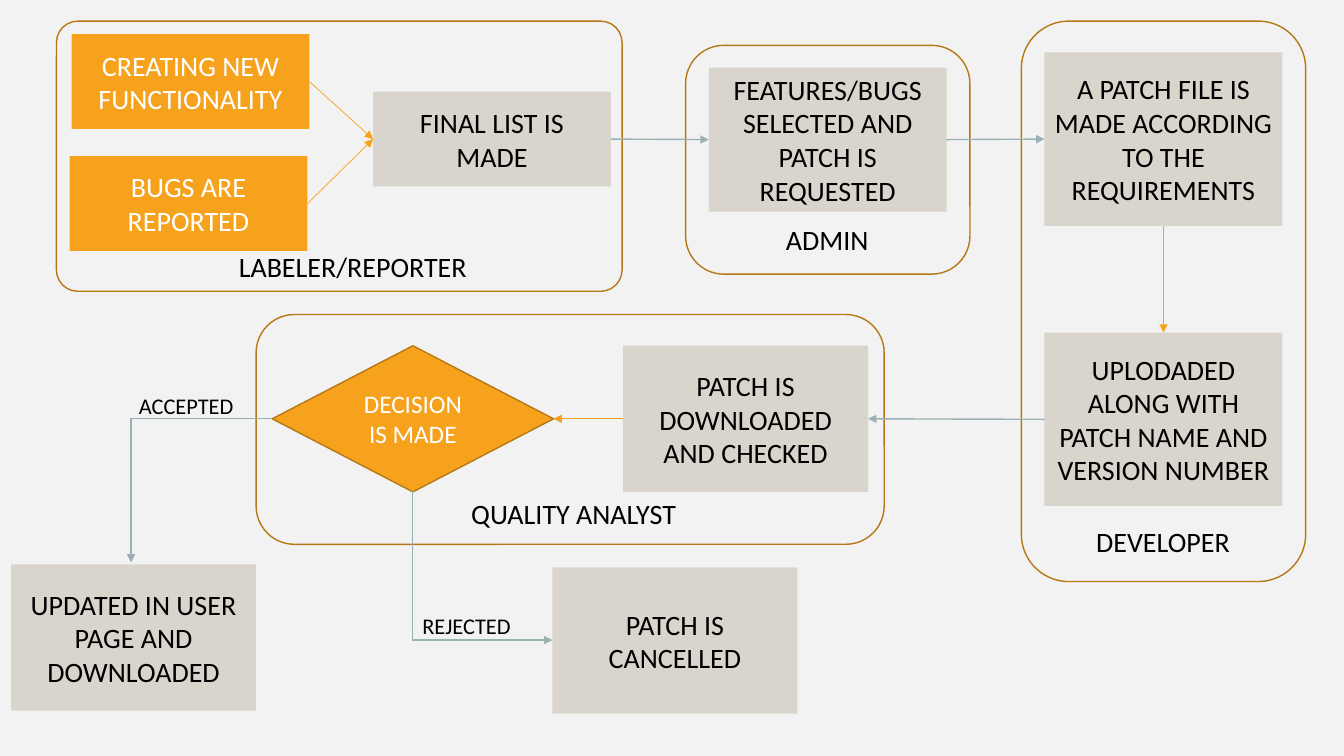
import pptx
import pptx.util
import pptx.dml.color
import pptx.enum.shapes
import pptx.enum.text
import pptx.oxml
import pptx.oxml.ns

Inches = pptx.util.Inches
Pt = pptx.util.Pt
RGBColor = pptx.dml.color.RGBColor
Preset = pptx.enum.shapes.MSO_SHAPE
Align = pptx.enum.text.PP_ALIGN
Anchor = pptx.enum.text.MSO_ANCHOR

PAPER = RGBColor(0xF2, 0xF2, 0xF2)
ORANGE = RGBColor(0xF6, 0xA2, 0x1D)
BROWN = RGBColor(0xB6, 0x78, 0x15)
STONE = RGBColor(0xDA, 0xD5, 0xCC)
STEEL = RGBColor(0x9B, 0xAF, 0xB5)
BLACK = RGBColor(0, 0, 0)
WHITE = RGBColor(0xFF, 0xFF, 0xFF)

TOP, LEFT, BOTTOM, RIGHT = range(4)


def write(frame, text, size=20, color=BLACK, align=Align.CENTER, anchor=Anchor.MIDDLE):
    frame.word_wrap = True
    frame.vertical_anchor = anchor
    paragraph = frame.paragraphs[0]
    paragraph.alignment = align
    run = paragraph.add_run()
    run.text = text
    run.font.name = "Calibri"
    run.font.size = Pt(size)
    run.font.color.rgb = color


class Flowchart:
    def __init__(self, slide):
        self.slide = slide
        self.shapes = slide.shapes
        slide.background.fill.solid()
        slide.background.fill.fore_color.rgb = PAPER

    def outline(self, preset, place, fill=None, line=None):
        shape = self.shapes.add_shape(preset, *map(Inches, place))
        shape.shadow.inherit = False
        if fill is None:
            shape.fill.background()
        else:
            shape.fill.solid()
            shape.fill.fore_color.rgb = fill
        if line is None:
            shape.line.fill.background()
        else:
            shape.line.color.rgb = line
            shape.line.width = Pt(1)
        return shape

    def lane(self, place, rounding=0.1667):
        shape = self.outline(Preset.ROUNDED_RECTANGLE, place, line=BROWN)
        shape.adjustments[0] = rounding

    def step(self, text, place, fill=STONE, color=BLACK):
        shape = self.outline(Preset.RECTANGLE, place, fill)
        write(shape.text_frame, text, color=color)
        return shape

    def decision(self, text, place):
        shape = self.outline(Preset.DIAMOND, place, ORANGE, BROWN)
        write(shape.text_frame, text, size=18, color=WHITE)
        return shape

    def label(self, text, place, **style):
        box = self.shapes.add_textbox(*map(Inches, place))
        write(box.text_frame, text, anchor=Anchor.TOP, **style)

    def line(self, start, end, color=STEEL, width=1, arrow=True):
        connector = self.shapes.add_connector(
            pptx.enum.shapes.MSO_CONNECTOR.STRAIGHT, *map(Inches, start + end))
        connector.line.color.rgb = color
        connector.line.width = Pt(width)
        if arrow:
            head = pptx.oxml.parse_xml(
                '<a:tailEnd %s type="triangle"/>' % pptx.oxml.ns.nsdecls("a"))
            connector.line._get_or_add_ln().append(head)
        properties = connector._element.spPr
        properties.append(pptx.oxml.parse_xml(
            "<a:effectLst %s/>" % pptx.oxml.ns.nsdecls("a")))
        return connector

    def link(self, source, source_side, target, target_side, **style):
        connector = self.line((0, 0), (1, 1), **style)
        connector.begin_connect(source, source_side)
        connector.end_connect(target, target_side)


deck = pptx.Presentation()
deck.slide_width = Inches(13.33)
deck.slide_height = Inches(7.5)
chart = Flowchart(deck.slides.add_slide(deck.slide_layouts[6]))

chart.lane((0.56, 0.21, 5.61, 2.68), rounding=0.079)
chart.lane((6.8, 0.45, 2.82, 2.27))
chart.lane((10.13, 0.21, 2.82, 5.56))
chart.lane((2.54, 3.12, 6.23, 2.28))

chart.label("LABELER/REPORTER", (2.22, 2.43, 2.56, 0.44))
chart.label("ADMIN", (6.71, 2.16, 2.99, 0.44))
chart.label("DEVELOPER", (10.04, 5.15, 2.99, 0.44))
chart.label("QUALITY ANALYST", (3.73, 4.88, 3.92, 0.44))

functionality = chart.step("CREATING NEW FUNCTIONALITY", (0.71, 0.34, 2.36, 0.94), ORANGE, WHITE)
bugs = chart.step("BUGS ARE REPORTED", (0.69, 1.55, 2.36, 0.94), ORANGE, WHITE)
final_list = chart.step("FINAL LIST IS MADE", (3.7, 0.91, 2.36, 0.94))
request = chart.step("FEATURES/BUGS SELECTED AND PATCH IS REQUESTED", (7.03, 0.67, 2.36, 1.43))
patch_file = chart.step("A PATCH FILE IS MADE ACCORDING TO THE REQUIREMENTS", (10.36, 0.52, 2.36, 1.72))
upload = chart.step("UPLODADED ALONG WITH PATCH NAME AND VERSION NUMBER", (10.36, 3.3, 2.36, 1.72))
check = chart.step("PATCH IS DOWNLOADED AND CHECKED", (6.18, 3.43, 2.43, 1.45))
verdict = chart.decision("DECISION IS MADE", (2.7, 3.43, 2.79, 1.45))
chart.step("UPDATED IN USER PAGE AND DOWNLOADED", (0.11, 5.6, 2.43, 1.45))
chart.step("PATCH IS CANCELLED", (5.48, 5.63, 2.43, 1.45))

within_lane = {"color": ORANGE, "width": 0.5}
chart.link(functionality, RIGHT, final_list, LEFT, **within_lane)
chart.link(bugs, RIGHT, final_list, LEFT, **within_lane)
chart.link(patch_file, BOTTOM, upload, TOP, **within_lane)
chart.link(check, LEFT, verdict, RIGHT, **within_lane)
chart.link(final_list, RIGHT, request, LEFT)
chart.link(request, RIGHT, patch_file, LEFT)
chart.link(upload, LEFT, check, RIGHT)

for start, corner, end in (
    ((2.7, 4.15), (1.3, 4.15), (1.3, 5.58)),
    ((4.09, 4.87), (4.09, 6.35), (5.48, 6.35)),
):
    chart.line(start, corner, width=0.5, arrow=False)
    chart.line(corner, end)

chart.label("ACCEPTED", (1.28, 3.84, 1.56, 0.37), size=16, align=Align.LEFT)
chart.label("REJECTED", (4.09, 6.02, 1.56, 0.37), size=16, align=Align.LEFT)

deck.save("out.pptx")
